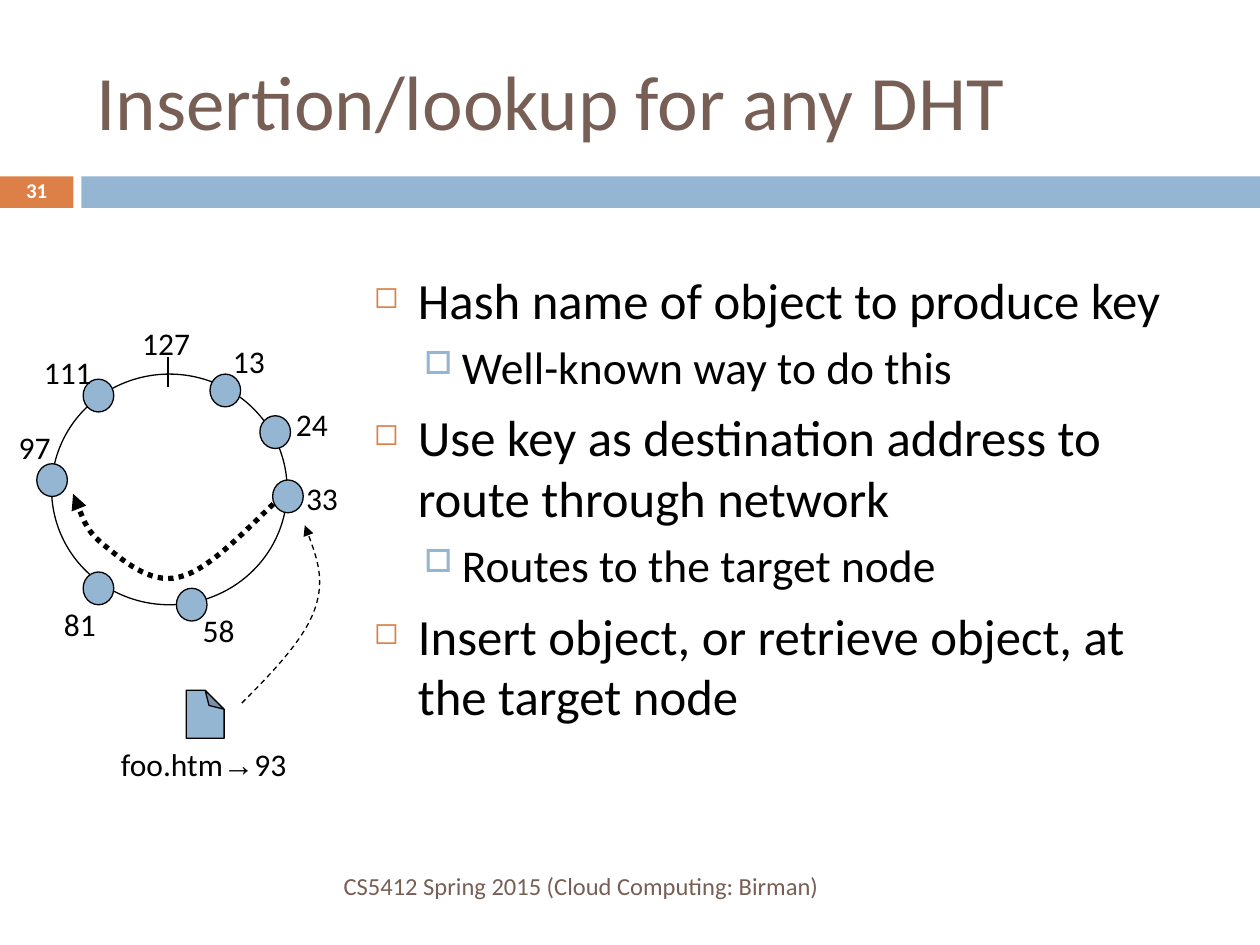
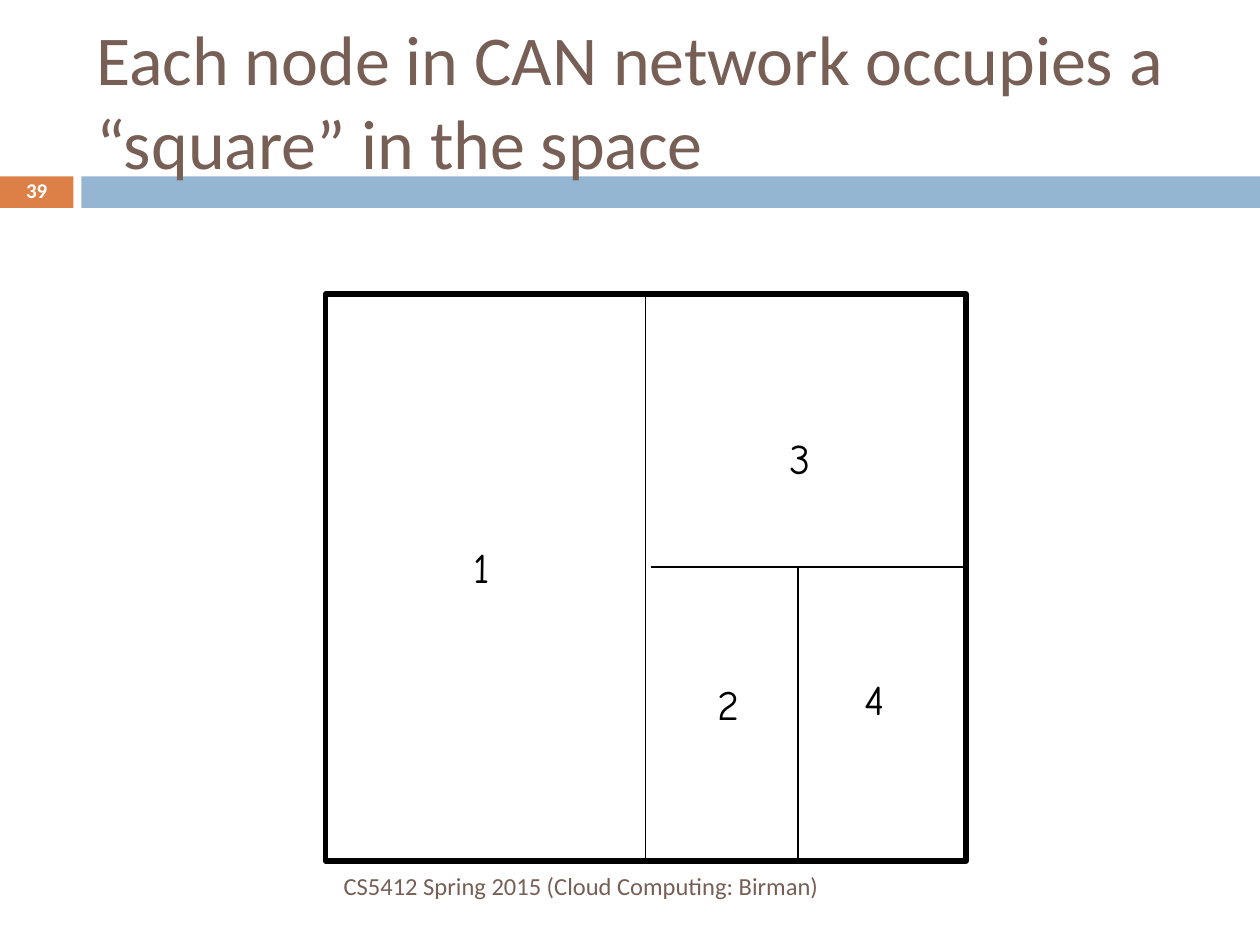
from lxml import etree
from pptx import Presentation
from pptx.dml.color import RGBColor
from pptx.enum.dml import MSO_LINE
from pptx.enum.shapes import MSO_CONNECTOR, MSO_SHAPE
from pptx.enum.text import MSO_ANCHOR, MSO_AUTO_SIZE, PP_ALIGN
from pptx.oxml.ns import qn
from pptx.util import Pt

RECT, OVAL, FOLDED = MSO_SHAPE.RECTANGLE, MSO_SHAPE.OVAL, MSO_SHAPE.FOLDED_CORNER
STRAIGHT = MSO_CONNECTOR.STRAIGHT
DOTTED, DASHED = MSO_LINE.ROUND_DOT, MSO_LINE.DASH
TOP, MIDDLE = MSO_ANCHOR.TOP, MSO_ANCHOR.MIDDLE
LEFT, CENTER, RIGHT = PP_ALIGN.LEFT, PP_ALIGN.CENTER, PP_ALIGN.RIGHT
FIT, NO_FIT = MSO_AUTO_SIZE.SHAPE_TO_FIT_TEXT, MSO_AUTO_SIZE.NONE

BROWN, ORANGE, BLUE, BLACK, WHITE = "775F55", "DD8047", "94B6D2", "000000", "FFFFFF"
FOOTER = "CS5412 Spring 2015 (Cloud Computing: Birman)"


def paint(shape, fill=None, line=None, width=0.75):
    """Set fill and line, and remove the shadow."""
    if hasattr(shape, "fill"):
        if fill:
            shape.fill.solid()
            shape.fill.fore_color.rgb = RGBColor.from_string(fill)
        else:
            shape.fill.background()
    if line:
        shape.line.color.rgb = RGBColor.from_string(line)
        shape.line.width = Pt(width)
    else:
        shape.line.fill.background()
    etree.SubElement(shape._element.spPr, qn("a:effectLst"))
    return shape


def add_text(s, box, paragraphs, size, color=BLACK, name="Calibri", bold=False,
             wrap=True, anchor=TOP, align=LEFT):
    """Add a text box; each paragraph is a list of (text, format overrides)."""
    tf = s.shapes.add_textbox(*map(Pt, box)).text_frame
    frame = {"word_wrap": wrap, "vertical_anchor": anchor,
             "auto_size": NO_FIT if wrap else FIT}
    for key, value in frame.items():
        setattr(tf, key, value)
    for i, runs in enumerate(paragraphs):
        p = tf.add_paragraph() if i else tf.paragraphs[0]
        p.alignment = align
        for text, changes in runs:
            r = p.add_run()
            r.text = text
            fmt = {"size": Pt(size), "name": name, "bold": bold} | changes
            for key, value in fmt.items():
                setattr(r.font, key, value)
            r.font.color.rgb = RGBColor.from_string(color)
    return tf


prs = Presentation()
prs.slide_width, prs.slide_height = Pt(720), Pt(540)

# Shared title, bands, footer and slide number
slides = []
for title, title_size, number in [
    ("Insertion/lookup for any DHT", 44, "31"),
    ("Each node in CAN network occupies a “square” in the space", 40, "39"),
]:
    s = prs.slides.add_slide(prs.slide_layouts[6])
    slides.append(s)
    for x, w, color in [(0, 42, ORANGE), (46.5, 673.5, BLUE)]:
        paint(s.shapes.add_shape(RECT, Pt(x), Pt(100.8), Pt(w), Pt(18)), color)
    add_text(s, (48, 18, 642, 78), [[(title, {})]], title_size, BROWN, anchor=MIDDLE)
    add_text(s, (48, 492, 427, 28.8), [[(FOOTER, {})]], 14, BROWN,
             anchor=MIDDLE, align=RIGHT)
    tf = add_text(s, (0, 100, 42, 19.5), [[(number, {})]], 12, WHITE, bold=True,
                  anchor=MIDDLE, align=CENTER)
    tf.paragraphs[0].line_spacing = 0.8

# Slide 1: bullets
s = slides[0]
points = [
    (0, "Hash name of object to produce key"),
    (1, "Well-known way to do this"),
    (0, "Use key as destination address to route through network"),
    (1, "Routes to the target node"),
    (0, "Insert object, or retrieve object, at the target node"),
]
# size, space before, left margin, hanging indent, bullet, its colour and percentage
levels = [(29, 7, 25.2, 25.2, "◻", ORANGE, 60), (26, 5.5, 50.4, 21.6, "□", BLUE, 70)]
tf = add_text(s, (206.5, 150, 466, 324),
              [[(text, {"size": Pt(levels[level][0])})] for level, text in points], 29)
for i, (p, (level, _)) in enumerate(zip(tf.paragraphs, points)):
    _, before, margin, hanging, char, color, percent = levels[level]
    pPr = p._p.get_or_add_pPr()
    pPr.set("marL", str(Pt(margin)))
    pPr.set("indent", str(-Pt(hanging)))
    etree.SubElement(etree.SubElement(pPr, qn("a:buClr")), qn("a:srgbClr"), val=color)
    etree.SubElement(pPr, qn("a:buSzPct"), val=str(percent * 1000))
    etree.SubElement(pPr, qn("a:buChar"), char=char)
    p.space_before = Pt(before if i else 0)

# Ring with its top mark
paint(s.shapes.add_shape(OVAL, Pt(29.5), Pt(213.8), Pt(134.6), Pt(131.8)), line=BLACK)
paint(s.shapes.add_connector(STRAIGHT, Pt(96), Pt(204), Pt(96), Pt(221)), line=BLACK)

# Nodes on the ring: label, label position, node position
for label, label_at, node_at in [
    ("127", (74.2, 181.4), None),
    ("13", (126, 192.2), (120, 213.8)),
    ("24", (162, 228.2), (148.5, 237.6)),
    ("33", (167.8, 270), (155.8, 274.3)),
    ("58", (108.7, 345.6), (100.8, 336.2)),
    ("81", (29.5, 342), (47.5, 326.9)),
    ("97", (3.6, 241.2), (21, 265)),
    ("111", (18, 198), (47.5, 216.7)),
]:
    if node_at:
        paint(s.shapes.add_shape(OVAL, *map(Pt, node_at), Pt(17.5), Pt(18.7)), BLUE, BLACK)
    add_text(s, (*label_at, 14.4 + 10.2 * len(label), 28.8), [[(label, {})]], 18, wrap=False)

# File and its key
page = paint(s.shapes.add_shape(FOLDED, Pt(106.5), Pt(394.5), Pt(21.6), Pt(27.4)), BLUE, BLACK)
page._element.spPr.find(qn("a:xfrm")).set("flipV", "1")
adjustments = page._element.spPr.find(qn("a:prstGeom")).get_or_add_avLst()
etree.SubElement(adjustments, qn("a:gd"), name="adj", fmla="val 50000")
add_text(s, (62, 422, 116.6, 28.8),
         [[("foo.htm", {}), ("→", {"name": "Arial"}), ("93", {})]], 18, wrap=False)

# Curved arrows: start point, then three Bézier points per segment
for width, dash, curve in [
    (3, DOTTED, [(156.2, 288), (136.8, 306.7), (118.1, 326.2), (102.2, 329.8),
                 (85.7, 334.1), (69.8, 319.7), (59.8, 311.8),
                 (49.7, 303.8), (46.1, 293), (41.8, 282.2)]),
    (0.75, DASHED, [(138.2, 401.8), (156.2, 383.8), (174.2, 365), (180, 347.8),
                    (185.8, 331.2), (180, 315.4), (174.2, 300.2)]),
]:
    start, *rest = [(Pt(x), Pt(y)) for x, y in curve]
    builder = s.shapes.build_freeform(*start)
    builder.add_line_segments(rest, close=False)
    arrow = paint(builder.convert_to_shape(), line=BLACK, width=width)
    arrow.line.dash_style = dash
    ln = arrow._element.spPr.find(qn("a:ln"))
    etree.SubElement(ln, qn("a:tailEnd"), type="triangle")
    segments = list(arrow._element.iter(qn("a:lnTo")))
    for i in range(0, len(segments), 3):
        bezier = etree.SubElement(segments[i].getparent(), qn("a:cubicBezTo"))
        for segment in segments[i:i + 3]:
            bezier.append(segment.find(qn("a:pt")))
            segment.getparent().remove(segment)

# Slide 2: the space and its divisions
s = slides[1]
space = paint(s.shapes.add_shape(RECT, Pt(186), Pt(168), Pt(366), Pt(324)),
              line=BLACK, width=3)
dividers = []
for ends in [(369, 168, 369, 492), (372, 324, 552, 324), (456, 324, 456, 492)]:
    dividers.append(paint(s.shapes.add_connector(STRAIGHT, *map(Pt, ends)), line=BLACK))
dividers[0].begin_connect(space, 0)
dividers[0].end_connect(space, 2)

for label, x, y, w in [("1", 263.5, 306, 23.8), ("2", 403.2, 384, 26.6),
                       ("3", 444.2, 243.4, 26.6), ("4", 486.7, 381.6, 25.9)]:
    add_text(s, (x, y, w, 36), [[(label, {})]], 24, name="Comic Neue", wrap=False)

prs.save("out.pptx")
